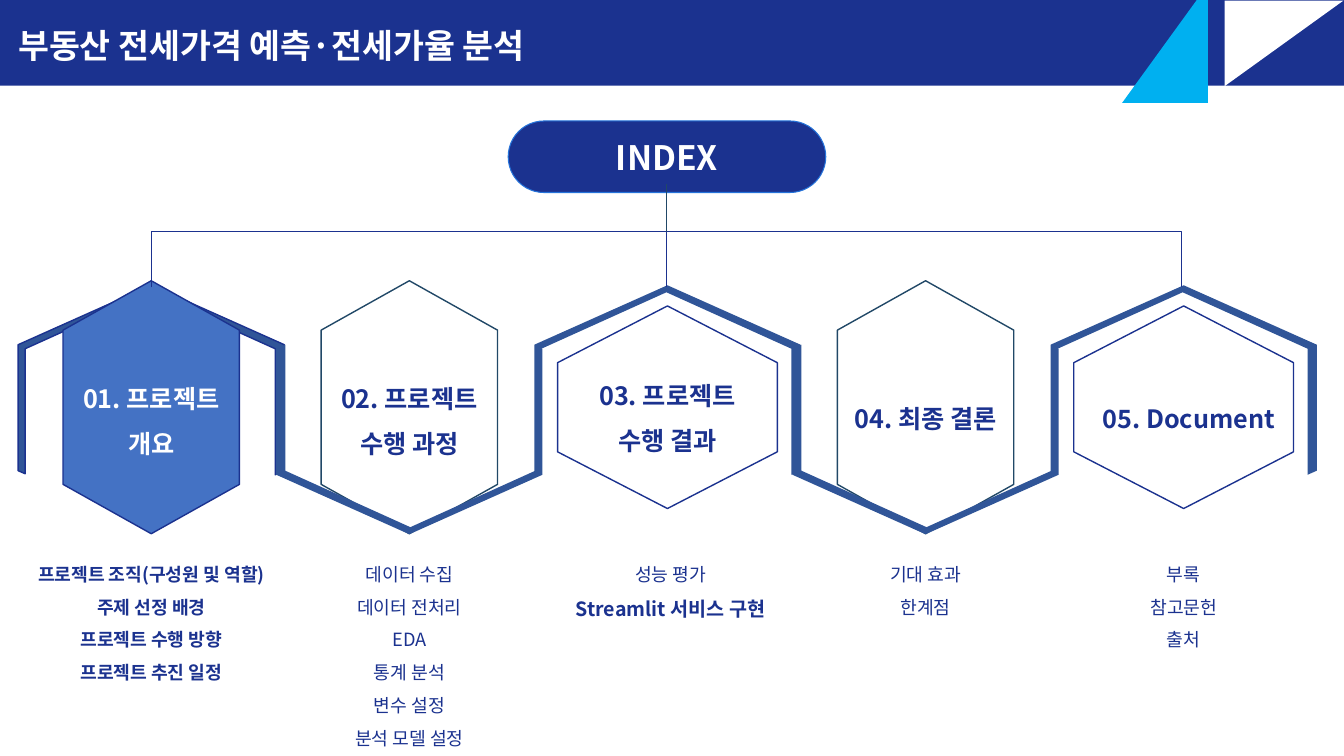
from dataclasses import dataclass

from lxml.etree import SubElement
from pptx import Presentation
from pptx.dml.color import RGBColor
from pptx.enum.shapes import MSO_CONNECTOR, MSO_SHAPE
from pptx.enum.text import MSO_ANCHOR, MSO_AUTO_SIZE, PP_ALIGN
from pptx.oxml.ns import qn
from pptx.util import Inches, Pt

FONT = "Noto Sans CJK KR"
COLORS = {
    "navy": "1B328F", "frame": "305598", "blue": "4472C4", "teal": "214867",
    "cyan": "00B0F0", "edge": "2574DB", "white": "FFFFFF",
}
FIRST, STEP = 1.5, 2.56  # centre of the first column, column pitch
MID = 6.61               # centre of the connecting tree

# Open half-hexagon frame, measured from its peak
FRAME = [(0, 0), (1.32, 0.59), (1.32, 1.84), (1.23, 1.88), (1.23, 0.63),
         (-0.01, 0.07), (-1.25, 0.63), (-1.25, 1.87), (-1.32, 1.84),
         (-1.32, 0.59)]


@dataclass
class Column:
    label: list[str]
    notes: list[str]
    top: float            # top of the label
    tall: bool            # tall or wide hexagon
    up: bool              # frame peak points up
    fill: str | None = "white"
    edge: str = "navy"
    ink: str = "navy"
    bold: tuple = ()      # indexes of bold notes
    width: float = 2.55   # width of the notes
    shift: float = 0      # label offset
    nudge: float = 0      # notes offset


COLUMNS = [
    Column(["01. 프로젝트", "개요"],
           ["프로젝트 조직(구성원 및 역할)", "주제 선정 배경",
            "프로젝트 수행 방향", "프로젝트 추진 일정"],
           3.6, True, True, fill="blue", ink="white", bold=(0, 1, 2, 3)),
    Column(["02. 프로젝트", "수행 과정"],
           ["데이터 수집", "데이터 전처리", "EDA", "통계 분석", "변수 설정",
            "분석 모델 설정"],
           3.6, True, False, edge="teal", width=2.31),
    Column(["03. 프로젝트", "수행 결과"], ["성능 평가", "Streamlit 서비스 구현"],
           3.57, False, True, bold=(1,), nudge=0.03),
    Column(["04. 최종 결론"], ["기대 효과", "한계점"],
           3.8, True, False, fill=None, edge="teal", width=2.05),
    Column(["05. Document"], ["부록", "참고문헌", "출처"],
           3.8, False, True, shift=0.05),
]


def color(name: str) -> RGBColor:
    return RGBColor.from_string(COLORS[name])


def paint(shape, fill: str | None, edge: str | None = None, width: float = 1) -> None:
    shape.shadow.inherit = False
    if fill:
        shape.fill.solid()
        shape.fill.fore_color.rgb = color(fill)
    else:
        shape.fill.background()
    if edge:
        shape.line.color.rgb = color(edge)
        shape.line.width = Pt(width)
    else:
        shape.line.fill.background()


def style(para, size: float, ink: str, bold: bool, space: float = 1.5,
          align=PP_ALIGN.CENTER) -> None:
    para.alignment = align
    para.line_spacing = space
    para.space_before = Pt(0)
    font = para.font
    font.size, font.bold, font.name = Pt(size), bold, FONT
    font.color.rgb = color(ink)
    props = para._p.pPr.find(qn("a:defRPr"))
    SubElement(props, qn("a:ea")).set("typeface", FONT)


def add(shapes, kind, x: float, y: float, w: float, h: float, turn: float = 0):
    shape = shapes.add_shape(kind, Inches(x), Inches(y), Inches(w), Inches(h))
    shape.rotation = turn
    return shape


def outline(shapes, points: list, fill: str, edge: str | None = None) -> None:
    spots = [(Inches(x), Inches(y)) for x, y in points]
    path = shapes.build_freeform(*spots[0])
    path.add_line_segments(spots[1:], close=True)
    paint(path.convert_to_shape(), fill, edge)


def write(shapes, lines: list[str], mid: float, top: float, width: float):
    box = shapes.add_textbox(Inches(mid - width / 2), Inches(top), Inches(width),
                             Inches(0.1 + 0.45 * len(lines)))
    frame = box.text_frame
    frame.word_wrap = True
    frame.text = "\n".join(lines)
    return frame.paragraphs


def hexagon(shapes, col: Column, mid: float) -> None:
    w, h = (2.51, 1.75) if col.tall else (2.01, 2.18)
    shape = add(shapes, MSO_SHAPE.HEXAGON, mid - w / 2, 4.04 - h / 2, w, h, 270)
    shape.adjustments[0] = 0.28
    shape.adjustments[1] = 1.1547
    paint(shape, col.fill, col.edge)


def bracket(shapes, col: Column, mid: float) -> None:
    sign, peak = (1, 2.83) if col.up else (-1, 5.3)
    points = [(mid + sign * x, peak + sign * y) for x, y in FRAME]
    outline(shapes, points, "frame", "navy" if col.fill == "blue" else None)


def column(shapes, col: Column, mid: float) -> None:
    parts = [bracket, hexagon] if col.up else [hexagon, bracket]
    for part in parts:
        part(shapes, col, mid)
    for para in write(shapes, col.label, mid + col.shift, col.top, 2.25):
        style(para, 18, col.ink, True)
    for i, para in enumerate(write(shapes, col.notes, mid + col.nudge, 5.43, col.width)):
        size = 14 if "Streamlit" in col.notes[i] else 13
        style(para, size, "navy", i in col.bold)


def header(slide) -> None:
    title = slide.shapes.title
    title.left, title.top = Inches(0), Inches(0)
    title.width, title.height = Inches(13.33), Inches(0.85)
    title.fill.solid()
    title.fill.fore_color.rgb = color("navy")
    frame = title.text_frame
    frame.text = "부동산 전세가격 예측·전세가율 분석"
    frame.vertical_anchor = MSO_ANCHOR.TOP
    frame.auto_size = MSO_AUTO_SIZE.NONE
    frame.margin_left = Inches(0.18)
    style(frame.paragraphs[0], 24, "white", True, align=PP_ALIGN.LEFT)
    paint(add(slide.shapes, MSO_SHAPE.RIGHT_TRIANGLE, 12.31, -0.16, 0.85, 1.18, 90),
          "white")
    outline(slide.shapes, [(11.13, 1.02), (11.87, 0), (11.98, 0), (11.98, 1.02)],
            "cyan")


def tree(shapes) -> None:
    span, drop = 5.11, 0.55
    for mid in (MID - span / 2, MID + span / 2):
        arm = add(shapes, MSO_SHAPE.LEFT_BRACKET, mid - drop / 2,
                  2.575 - span / 2, drop, span, 90)
        arm.adjustments[0] = 0
        paint(arm, None, "navy", 0.75)
    pill = add(shapes, MSO_SHAPE.ROUNDED_RECTANGLE, 5.04, 1.2, 3.15, 0.71)
    pill.adjustments[0] = 0.5
    paint(pill, "navy", "edge", 0.75)
    pill.text_frame.text = "INDEX"
    pill.text_frame.vertical_anchor = MSO_ANCHOR.MIDDLE
    style(pill.text_frame.paragraphs[0], 24, "white", True, 1.0)
    stem = shapes.add_connector(MSO_CONNECTOR.STRAIGHT, Inches(MID), Inches(1.83),
                                Inches(MID), Inches(2.3))
    stem.line.color.rgb = color("teal")
    stem.line.width = Pt(0.75)
    SubElement(stem._element.spPr, qn("a:effectLst"))


def main() -> None:
    deck = Presentation()
    deck.slide_width, deck.slide_height = Inches(13.33), Inches(7.5)
    slide = deck.slides.add_slide(deck.slide_layouts[5])
    header(slide)
    # Five sections, then the tree above them
    for i, col in enumerate(COLUMNS):
        column(slide.shapes, col, FIRST + i * STEP)
    tree(slide.shapes)
    deck.save("out.pptx")


if __name__ == "__main__":
    main()
